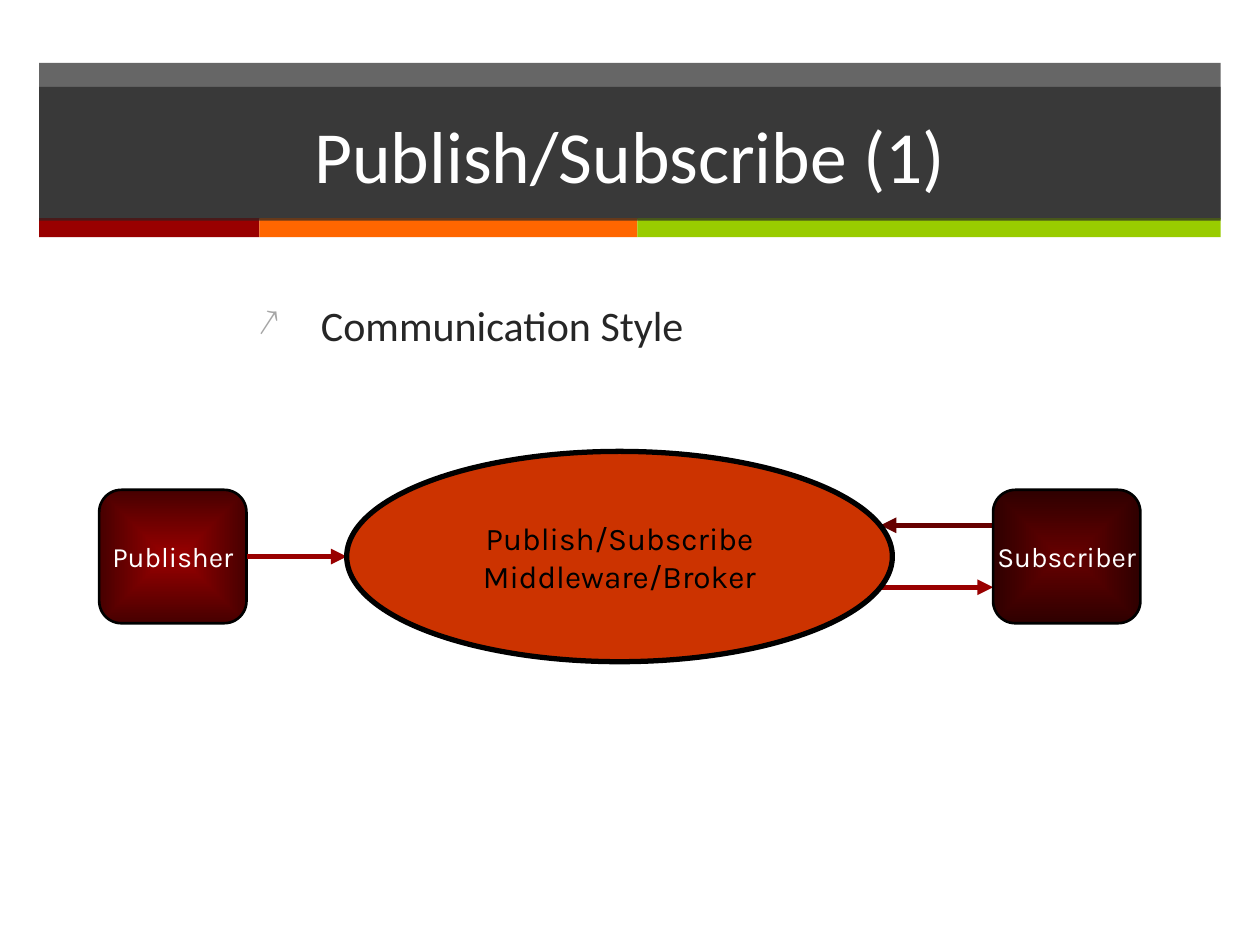
from lxml.etree import SubElement
from pptx import Presentation
from pptx.dml.color import RGBColor
from pptx.enum.shapes import MSO_CONNECTOR, MSO_SHAPE
from pptx.enum.text import MSO_ANCHOR, PP_ALIGN
from pptx.oxml.ns import qn
from pptx.util import Cm, Pt


def color(value):
    """Turn a hex string into a colour."""
    return RGBColor.from_string(value)


def set_font(paragraph, name, size, value):
    """Set the font of a whole paragraph."""
    paragraph.font.name = name
    paragraph.font.size = Pt(size)
    paragraph.font.color.rgb = color(value)


def add_block(slide, kind, box, fill=None, alpha=None, line=None, width=0):
    """Add a flat preset shape, optionally see-through or outlined."""
    shape = slide.shapes.add_shape(kind, *[Cm(length) for length in box])
    shape.shadow.inherit = False
    if fill:
        shape.fill.solid()
        shape.fill.fore_color.rgb = color(fill)
    if alpha:
        fill_color = shape._element.spPr.find(qn("a:solidFill"))[0]
        SubElement(fill_color, qn("a:alpha"), val=str(alpha * 1000))
    if line:
        shape.line.color.rgb = color(line)
        shape.line.width = Pt(width)
    else:
        shape.line.fill.background()
    return shape


def write_label(shape, lines, name, size, value, wrap=False):
    """Write centred lines in the middle of a shape."""
    frame = shape.text_frame
    frame.word_wrap = wrap
    frame.vertical_anchor = MSO_ANCHOR.MIDDLE
    frame.text = "\n".join(lines)
    for paragraph in frame.paragraphs:
        paragraph.alignment = PP_ALIGN.CENTER
        set_font(paragraph, name, size, value)


def fill_from_center(shape, inner, outer):
    """Fill a shape with a gradient that runs from its centre to its edges."""
    shape.fill.gradient()
    for stop, value in zip(shape.fill.gradient_stops, (inner, outer)):
        stop.color.rgb = color(value)
    gradient = shape._element.spPr.find(qn("a:gradFill"))
    gradient.remove(gradient.find(qn("a:lin")))
    gradient_shape = SubElement(gradient, qn("a:path"), {"path": "shape"})
    SubElement(gradient_shape, qn("a:fillToRect"), l="50000", t="50000", r="50000", b="50000")


def add_arrow(slide, start, end, value):
    """Add a straight arrow between two points."""
    points = [Cm(length) for length in (*start, *end)]
    arrow = slide.shapes.add_connector(MSO_CONNECTOR.STRAIGHT, *points)
    arrow.line.color.rgb = color(value)
    arrow.line.width = Pt(3)
    SubElement(arrow.line._get_or_add_ln(), qn("a:tailEnd"), type="triangle")
    SubElement(arrow._element.spPr, qn("a:effectLst"))
    return arrow


def add_header(slide, left, top, width, title):
    """Draw the title band with its coloured stripes."""
    add_block(slide, MSO_SHAPE.RECTANGLE, (left, top, width, 3.15), "262626", alpha=70)
    stripe_left = left
    for share, fill in ((4.44, "990000"), (7.62, "FF6600"), (11.76, "99CC00")):
        stripe_width = width * share / 23.82
        add_block(slide, MSO_SHAPE.RECTANGLE, (stripe_left, top + 3.13, stripe_width, 0.38), fill)
        stripe_left += stripe_width
    band = add_block(slide, MSO_SHAPE.RECTANGLE, (left, top + 0.48, width, 2.7), "262626", alpha=70)
    write_label(band, [title], "Calibri", 42, "FFFFFF", wrap=True)


def add_body(slide, left, top, width, height, text):
    """Write the bulleted body text."""
    box = slide.shapes.add_textbox(Cm(left), Cm(top), Cm(width), Cm(height))
    box.text_frame.word_wrap = True
    paragraph = box.text_frame.paragraphs[0]
    paragraph.text = text
    paragraph.space_before = Pt(20)
    set_font(paragraph, "Calibri", 24, "262626")
    properties = paragraph._p.get_or_add_pPr()
    properties.set("marL", str(Cm(1.27)))
    properties.set("indent", str(Cm(-1.27)))
    bullet_color = SubElement(properties, qn("a:buClr"))
    SubElement(bullet_color, qn("a:srgbClr"), val="A6A6A6")
    SubElement(properties, qn("a:buSzPct"), val="90000")
    SubElement(properties, qn("a:buChar"), char="↗")
    properties.append(properties.find(qn("a:defRPr")))


def add_node(slide, left, middle, size, text, inner, outer):
    """Add a rounded node centred on the given height."""
    width, height = size
    box = (left, middle - height / 2, width, height)
    node = add_block(slide, MSO_SHAPE.ROUNDED_RECTANGLE, box, line="000000", width=1.5)
    fill_from_center(node, inner, outer)
    write_label(node, [text], "Karla", 16, "FFFFFF")
    return node


def add_diagram(slide, left, top, width, height):
    """Draw publisher, broker and subscriber with their messages."""
    node_size = (2.97, 2.69)
    middle = top + height / 2
    subscriber_left = left + width - node_size[0]
    broker_left, broker_width = left + 4.99, 11
    broker_edge = broker_left + broker_width - 0.24
    request, delivery = middle - 0.63, middle + 0.62
    add_arrow(slide, (subscriber_left, request), (broker_edge, request), "660000")
    add_arrow(slide, (broker_edge, delivery), (subscriber_left, delivery), "990000")
    publisher = add_node(slide, left, middle, node_size, "Publisher", "990000", "470000")
    add_node(slide, subscriber_left, middle, node_size, "Subscriber", "660000", "2F0000")
    publication = add_arrow(slide, (left + node_size[0], middle), (broker_left, middle), "990000")
    publication.begin_connect(publisher, 3)
    broker_box = (broker_left, top, broker_width, height)
    broker = add_block(slide, MSO_SHAPE.OVAL, broker_box, "CC3300", line="000000", width=3)
    write_label(broker, ["Publish/Subscribe", "Middleware/Broker"], "Karla", 18, "000000")


def main():
    """Build and save the slide."""
    presentation = Presentation()
    presentation.slide_width, presentation.slide_height = Cm(25.4), Cm(19.05)
    slide = presentation.slides.add_slide(presentation.slide_layouts[6])
    add_header(slide, 0.79, 1.27, 23.82, "Publish/Subscribe (1)")
    add_body(slide, 4.95, 5.92, 19.66, 11.1, "Communication Style")
    add_diagram(slide, 2, 9.1, 20.99, 4.24)
    presentation.save("out.pptx")


if __name__ == "__main__":
    main()
